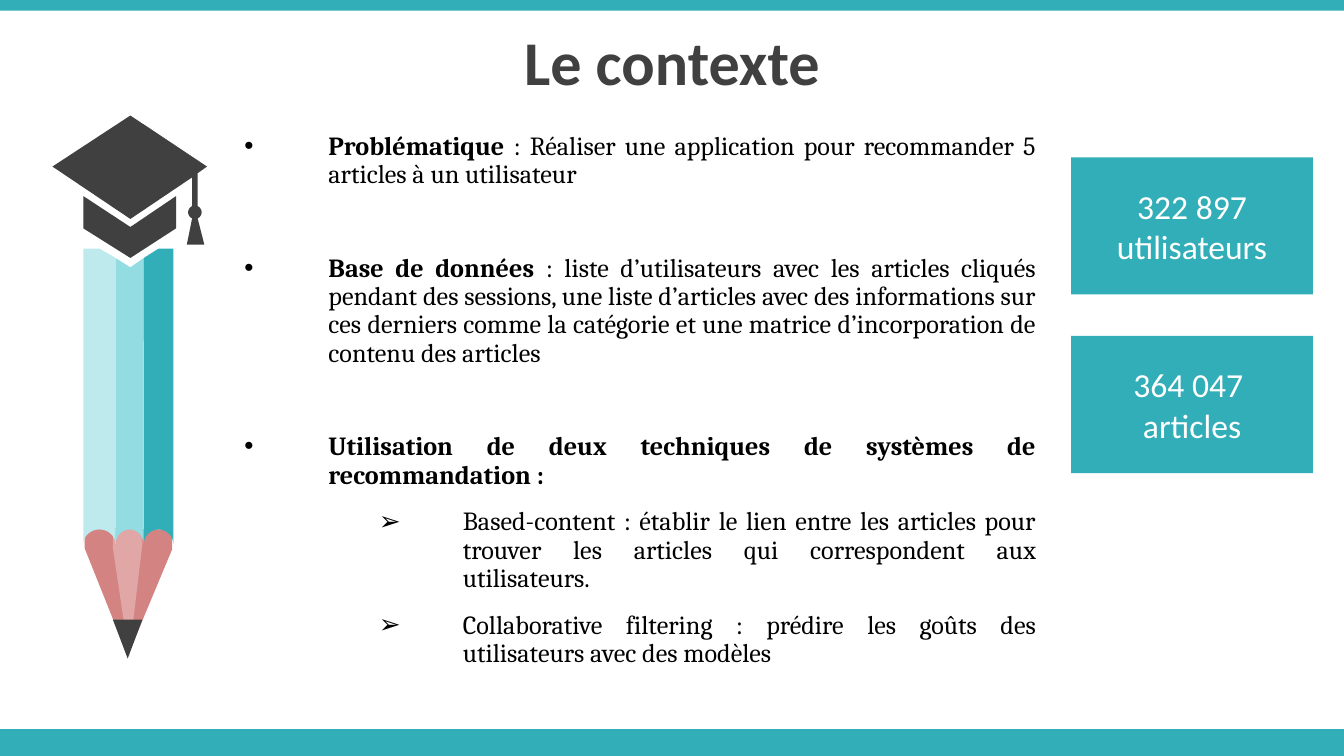
import math
import pptx
import pptx.util
import pptx.dml.color
import pptx.enum.shapes
import pptx.enum.text
import pptx.oxml
import pptx.oxml.ns

Inches, Pt = pptx.util.Inches, pptx.util.Pt
SHAPE = pptx.enum.shapes.MSO_SHAPE
ALIGN = pptx.enum.text.PP_ALIGN
MIDDLE = pptx.enum.text.MSO_ANCHOR.MIDDLE

TEAL, DARK, WHITE, BLACK = "32AEB8", "404040", "FFFFFF", "000000"
PAGE_WIDTH = 10
PAGE_HEIGHT = PAGE_WIDTH * 9 / 16


def color(hex_code):
    return pptx.dml.color.RGBColor.from_string(hex_code)


def paint(shape, fill):
    shape.shadow.inherit = False
    shape.fill.solid()
    shape.fill.fore_color.rgb = color(fill)
    shape.line.fill.background()
    return shape


def add_preset(page, kind, box, fill):
    return paint(page.shapes.add_shape(kind, *map(Inches, box)), fill)


def add_outline(page, left, top, contours, fill):
    builder = None
    for contour in contours:
        points = [(Inches(left + x), Inches(top + y)) for x, y in contour]
        if builder is None:
            builder = page.shapes.build_freeform(*points[0], scale=1.0)
        else:
            builder.move_to(*points[0])
        builder.add_line_segments(points[1:], close=True)
    return paint(builder.convert_to_shape(), fill)


def arc(center_x, center_y, radius_x, radius_y, start, end, steps=16):
    angles = [math.radians(start + (end - start) * i / steps) for i in range(steps + 1)]
    return [(center_x + radius_x * math.cos(a), center_y + radius_y * math.sin(a))
            for a in angles]


def style(para, font_name, size, font_color, align, bold=None):
    para.alignment = align
    para.font.name, para.font.size, para.font.bold = font_name, Pt(size), bold
    para.font.color.rgb = color(font_color)


def add_text_frame(page, box):
    frame = page.shapes.add_textbox(*map(Inches, box)).text_frame
    frame.word_wrap = True
    return frame


# Pencil wearing a graduation cap
def add_pencil(page, left, top):
    wood = [(0.24, 3.07), (0.89, 3.08), (0.89, 3.23), (0.56, 4.02), (0.24, 3.22)]
    light_wood = [(0.45, 3.07), (0.67, 3.07), (0.67, 3.18), (0.57, 4.02), (0.45, 3.22)]
    add_outline(page, left, top, [wood], "D38482")
    add_outline(page, left, top, [light_wood], "E0A7A6")

    # Painted strips, each with a scalloped lower end
    strips = [
        ("BEEAED", [(0.23, 0.99), (0.35, 0.99), (0.47, 1.06)]),
        ("92DCE2", [(0.47, 1.06), (0.58, 1.13), (0.68, 1.06)]),
        (TEAL, [(0.68, 1.06), (0.79, 0.99), (0.90, 0.99)]),
    ]
    for fill, upper_edge in strips:
        start, end = upper_edge[0][0], upper_edge[-1][0]
        radius = (end - start) / 2
        scallop = arc(start + radius, 3.19, radius, 0.11, 0, -180)
        add_outline(page, left, top, [upper_edge + scallop], fill)

    lead = add_preset(page, SHAPE.ISOSCELES_TRIANGLE,
                      (left + 0.45, top + 3.75, 0.22, 0.29), DARK)
    lead.rotation = 180

    # Cap: band below, board with tassel above
    band = [(0.23, 0.60), (0.58, 0.83), (0.92, 0.60),
            (0.92, 0.84), (0.58, 1.06), (0.23, 0.84)]
    board = ([(0.58, 0), (1.15, 0.38), (1.08, 0.43)]
             + arc(1.06, 0.72, 0.05, 0.05, -66, 66)
             + [(1.13, 0.96), (1.00, 0.96)]
             + arc(1.06, 0.72, 0.05, 0.05, 114, 246)
             + [(1.04, 0.46), (0.58, 0.77), (0, 0.38)])
    add_outline(page, left, top, [band, board], DARK)


def add_title(page, box, text):
    frame = add_text_frame(page, box)
    frame.vertical_anchor = MIDDLE
    para = frame.paragraphs[0]
    para.text = text
    style(para, "Calibri", 33.3, DARK, ALIGN.CENTER, True)


def set_bullet(para, symbol, margin, hanging):
    properties = para._p.get_or_add_pPr()
    properties.set("marL", str(Pt(margin)))
    properties.set("indent", str(-Pt(hanging)))
    namespace = pptx.oxml.ns.nsdecls("a")
    for tag in (f'<a:buFont {namespace} typeface="Arial"/>',
                f'<a:buChar {namespace} char="{symbol}"/>'):
        properties.insert_element_before(
            pptx.oxml.parse_xml(tag), "a:tabLst", "a:defRPr", "a:extLst")


# Bulleted list: (level, space before, bold lead, remaining text)
def add_points(page, box, points):
    frame = add_text_frame(page, box)
    for index, (level, space, lead, rest) in enumerate(points):
        para = frame.add_paragraph() if index else frame.paragraphs[0]
        para.level = level
        para.line_spacing, para.space_before = 0.9, Pt(space)
        style(para, "Cambria", 14, BLACK, ALIGN.JUSTIFY)
        set_bullet(para, "\u27a2" if level else "\u2022", 45 + 72 * level, 45)
        for text, bold in ((lead, True), (rest, False)):
            if text:
                span = para.add_run()
                span.text, span.font.bold = text, bold


def add_figure(page, box, lines):
    frame = add_preset(page, SHAPE.RECTANGLE, box, TEAL).text_frame
    frame.word_wrap = True
    frame.vertical_anchor = MIDDLE
    for index, line in enumerate(lines):
        para = frame.add_paragraph() if index else frame.paragraphs[0]
        para.text = line
        style(para, "Calibri", 18, WHITE, ALIGN.CENTER)


POINTS = [
    (0, 10, "Problématique",
     " : Réaliser une application pour recommander 5 articles à un utilisateur"),
    (0, 35, "Base de données ",
     ": liste d’utilisateurs avec les articles cliqués pendant des sessions, "
     "une liste d’articles avec des informations sur ces derniers comme la "
     "catégorie et une matrice d’incorporation de contenu des articles"),
    (0, 35, "Utilisation de deux techniques de systèmes de recommandation :", ""),
    (1, 10, "", "Based-content : établir le lien entre les articles pour trouver "
                "les articles qui correspondent aux utilisateurs."),
    (1, 10, "", "Collaborative filtering : prédire les goûts des utilisateurs "
                "avec des modèles"),
]
FIGURES = [("322 897", "utilisateurs"), ("364 047 ", "articles")]

deck = pptx.Presentation()
deck.slide_width, deck.slide_height = Inches(PAGE_WIDTH), Inches(PAGE_HEIGHT)
page = deck.slides.add_slide(deck.slide_layouts[6])

add_pencil(page, 0.39, 0.86)
# Bars along the bottom and top edges
for top, height in ((PAGE_HEIGHT - 0.2, 0.2), (0, 0.08)):
    add_preset(page, SHAPE.RECTANGLE, (0, top, PAGE_WIDTH, height), TEAL)
add_title(page, (0, 0.14, PAGE_WIDTH, 0.63), "Le contexte")
add_points(page, (1.72, 0.94, 6.09, 3.91), POINTS)
for row, lines in enumerate(FIGURES):
    add_figure(page, (7.97, 1.17 + row * 1.33, 1.8, 1.02), lines)

deck.save("out.pptx")
